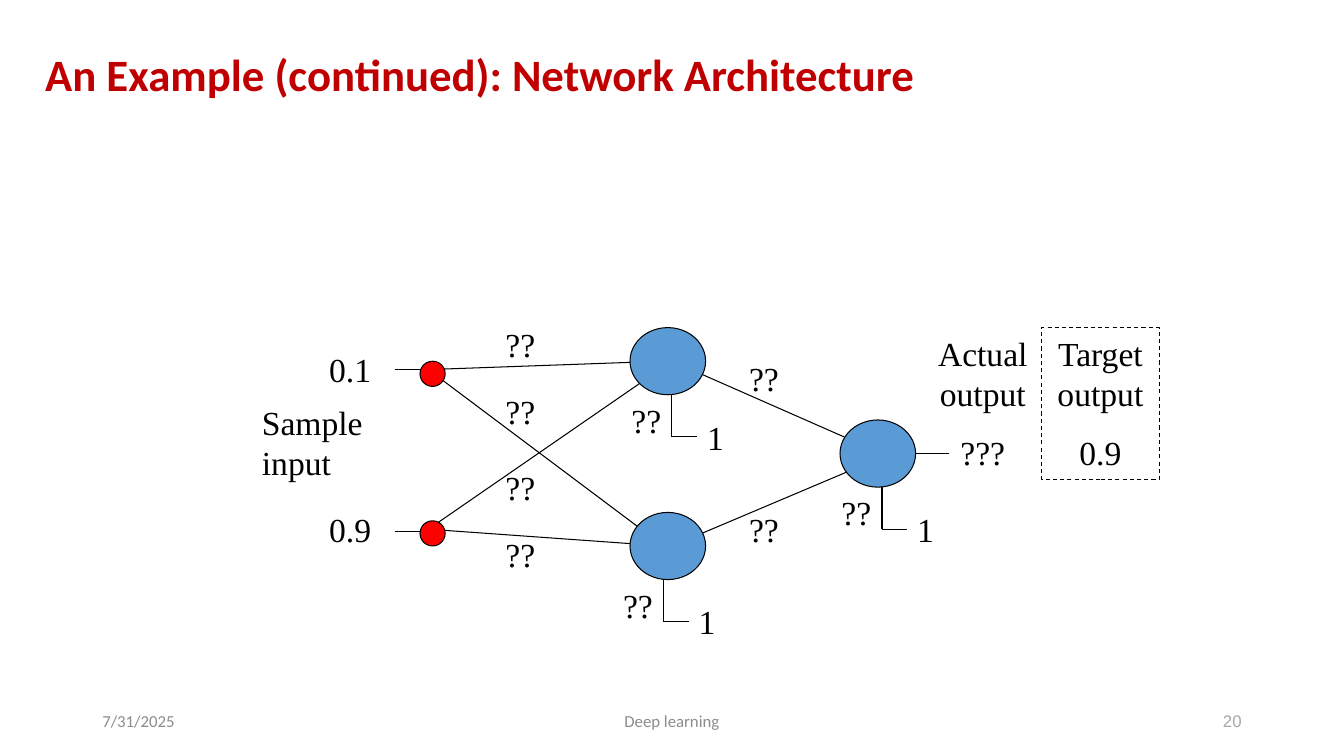
"""Build the network architecture slide on a grid of 160 columns by 90 rows."""
from dataclasses import dataclass

from lxml.etree import SubElement
from pptx import Presentation
from pptx.dml.color import RGBColor
from pptx.enum.dml import MSO_LINE
from pptx.enum.shapes import MSO_CONNECTOR, MSO_SHAPE
from pptx.enum.text import MSO_ANCHOR as Anchor, PP_ALIGN as Align
from pptx.oxml.ns import qn
from pptx.util import Emu, Inches, Pt

CELL = Inches(1) // 12
COLUMNS, ROWS = 160, 90
BLACK, RED, BLUE = "000000", "FF0000", "5B9BD5"
TITLE_RED, FOOTER_GRAY, NUMBER_GRAY = "C00000", "8C8C8C", "A6A6A6"


@dataclass(frozen=True)
class Label:
    lines: tuple[str, ...]
    column: float
    row: float
    columns: float
    rows: float = 6
    font: str = "Times New Roman"
    size: int = 24
    color: str = BLACK
    align: Align = Align.LEFT
    anchor: Anchor = Anchor.TOP
    bold: bool = False
    line_spacing: float = 1.0


@dataclass(frozen=True)
class Link:
    column: float
    row: float
    end_column: float
    end_row: float


@dataclass(frozen=True)
class Node:
    column: float
    row: float
    columns: float
    rows: float
    color: str


@dataclass(frozen=True)
class Bias:
    column: float
    row: float

    def links(self) -> list[Link]:
        """Return the stem and the foot that lead to the bias input."""
        foot = self.row + 9
        return [Link(self.column, self.row, self.column, foot),
                Link(self.column, foot, self.column + 3, foot)]

    def labels(self) -> list[Label]:
        """Return the weight label and the bias input label."""
        return [Label(("??",), self.column - 6, self.row + 4, 7),
                Label(("1",), self.column + 3, self.row + 6, 4.2)]


BIASES = [Bias(80, 43), Bias(79, 65), Bias(105, 54)]
LINKS = [
    Link(51, 44, 79, 43), Link(51, 44, 79, 65),
    Link(51, 63, 80, 43), Link(51, 63, 79, 65),
    Link(80, 43, 105, 54), Link(80, 65, 106, 54), Link(106, 54, 113, 54),
    Link(51, 44, 47, 44), Link(51, 63.33, 47, 63.33),
]
NODES = [Node(50, row, 3, 3, RED) for row in (43, 62)] + [
    Node(column, row, 9, 8, BLUE) for column, row in ((75, 39), (75, 61), (100, 50))]
WEIGHTS = [Label(("??",), column, row, 7) for column, row in (
    (59, 38), (59, 46), (59, 55), (59, 63), (88, 42), (88, 60))]
LABELS = [
    Label(("An Example (continued): Network Architecture",), 4.2, 0.5, 152.5, 17.4,
          "Calibri", 32, TITLE_RED, anchor=Anchor.MIDDLE, bold=True, line_spacing=0.9),
    Label(("Sample input",), 30, 47.2, 15, 11),
    Label(("0.1",), 38, 41, 10),
    Label(("0.9",), 38, 60, 10),
    Label(("Actual output", "???"), 110, 39, 14, 18.1, align=Align.CENTER),
    Label(("7/31/2025",), 11, 83.4, 36, 4.8, "Calibri", 12, FOOTER_GRAY,
          anchor=Anchor.MIDDLE),
    Label(("Deep learning",), 53, 83.4, 54, 4.8, "Calibri", 12, FOOTER_GRAY,
          Align.CENTER, Anchor.MIDDLE),
    Label(("20",), 113, 83.4, 36, 4.8, "Arial", 12, NUMBER_GRAY,
          Align.RIGHT, Anchor.MIDDLE),
]
TARGET = Label(("Target output", "0.9"), 124, 39, 14, 18.1, align=Align.CENTER)


def cells(*counts: float) -> list[Emu]:
    """Convert grid counts to lengths."""
    return [Emu(round(count * CELL)) for count in counts]


def rgb(color: str) -> RGBColor:
    """Convert a hex string to a colour."""
    return RGBColor.from_string(color)


def set_outline(shape) -> None:
    """Give a shape or connector the thin black line."""
    shape.line.color.rgb = rgb(BLACK)
    shape.line.width = Pt(0.75)


def write_text(shape, label: Label) -> None:
    """Write a label's paragraphs into a shape."""
    frame = shape.text_frame
    frame.word_wrap = True
    frame.vertical_anchor = label.anchor
    frame.text = "\n".join(label.lines)
    for index, paragraph in enumerate(frame.paragraphs):
        paragraph.alignment = label.align
        paragraph.line_spacing = label.line_spacing
        paragraph.space_before = Pt(13 if index else 0)
        paragraph.font.name = label.font
        paragraph.font.size = Pt(label.size)
        paragraph.font.bold = label.bold
        paragraph.font.color.rgb = rgb(label.color)


def draw_label(slide, label: Label) -> None:
    """Draw a text box."""
    box = slide.shapes.add_textbox(
        *cells(label.column, label.row, label.columns, label.rows))
    write_text(box, label)


def draw_link(slide, link: Link) -> None:
    """Draw a straight line without a shadow."""
    connector = slide.shapes.add_connector(
        MSO_CONNECTOR.STRAIGHT,
        *cells(link.column, link.row, link.end_column, link.end_row))
    set_outline(connector)
    SubElement(connector._element.spPr, qn("a:effectLst"))


def draw_node(slide, node: Node) -> None:
    """Draw a network node."""
    ellipse = slide.shapes.add_shape(
        MSO_SHAPE.OVAL, *cells(node.column, node.row, node.columns, node.rows))
    ellipse.shadow.inherit = False
    ellipse.fill.solid()
    ellipse.fill.fore_color.rgb = rgb(node.color)
    set_outline(ellipse)


def draw_target(slide, label: Label) -> None:
    """Draw the dashed box with the target output."""
    box = slide.shapes.add_shape(
        MSO_SHAPE.RECTANGLE, *cells(label.column, label.row, label.columns, label.rows))
    box.shadow.inherit = False
    box.fill.background()
    set_outline(box)
    box.line.dash_style = MSO_LINE.DASH
    write_text(box, label)


def main() -> None:
    """Build and save the presentation."""
    presentation = Presentation()
    presentation.slide_width, presentation.slide_height = cells(COLUMNS, ROWS)
    slide = presentation.slides.add_slide(presentation.slide_layouts[6])
    for link in LINKS + [link for bias in BIASES for link in bias.links()]:
        draw_link(slide, link)
    for node in NODES:
        draw_node(slide, node)
    for label in LABELS + WEIGHTS + [label for bias in BIASES for label in bias.labels()]:
        draw_label(slide, label)
    draw_target(slide, TARGET)
    presentation.save("out.pptx")


if __name__ == "__main__":
    main()
